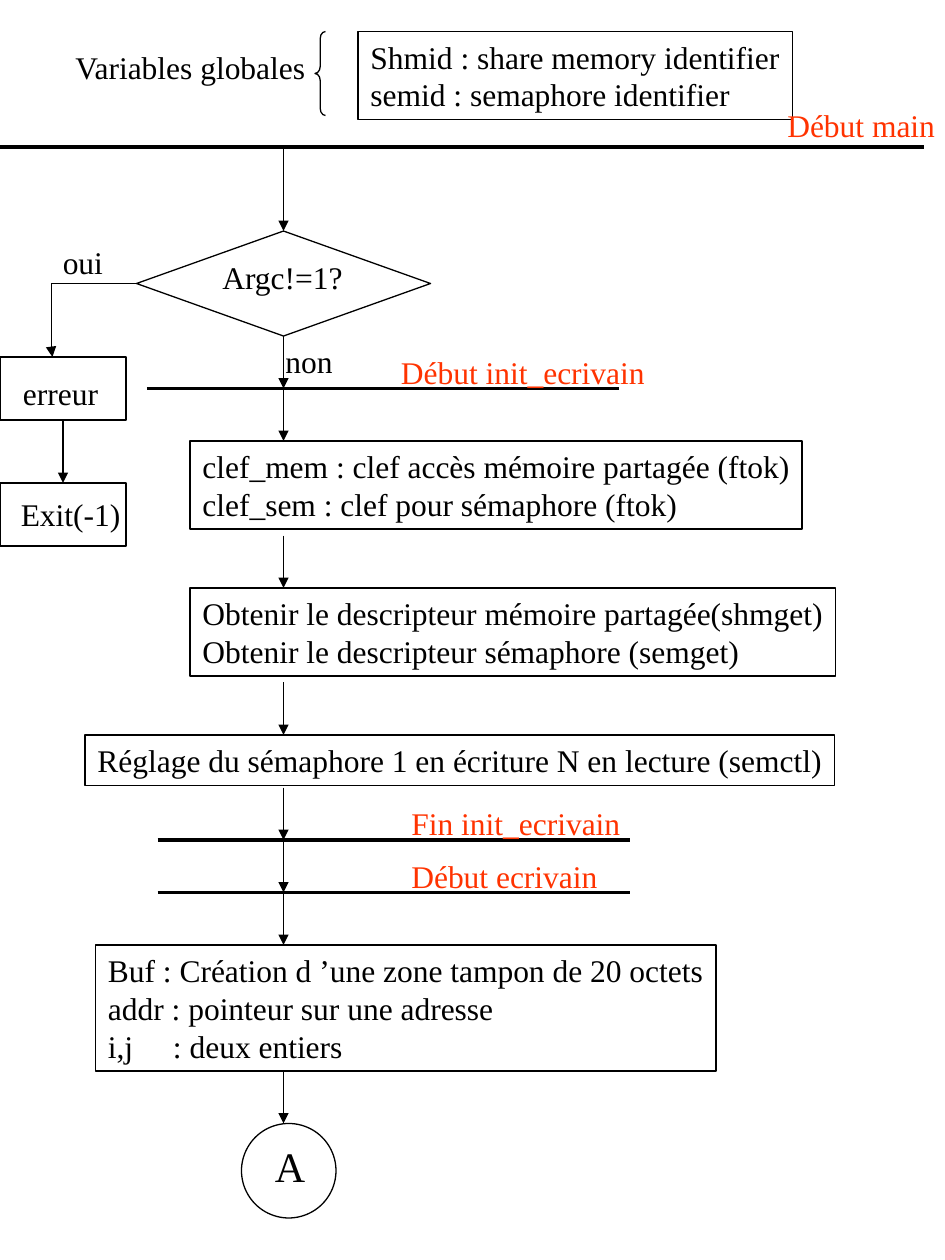
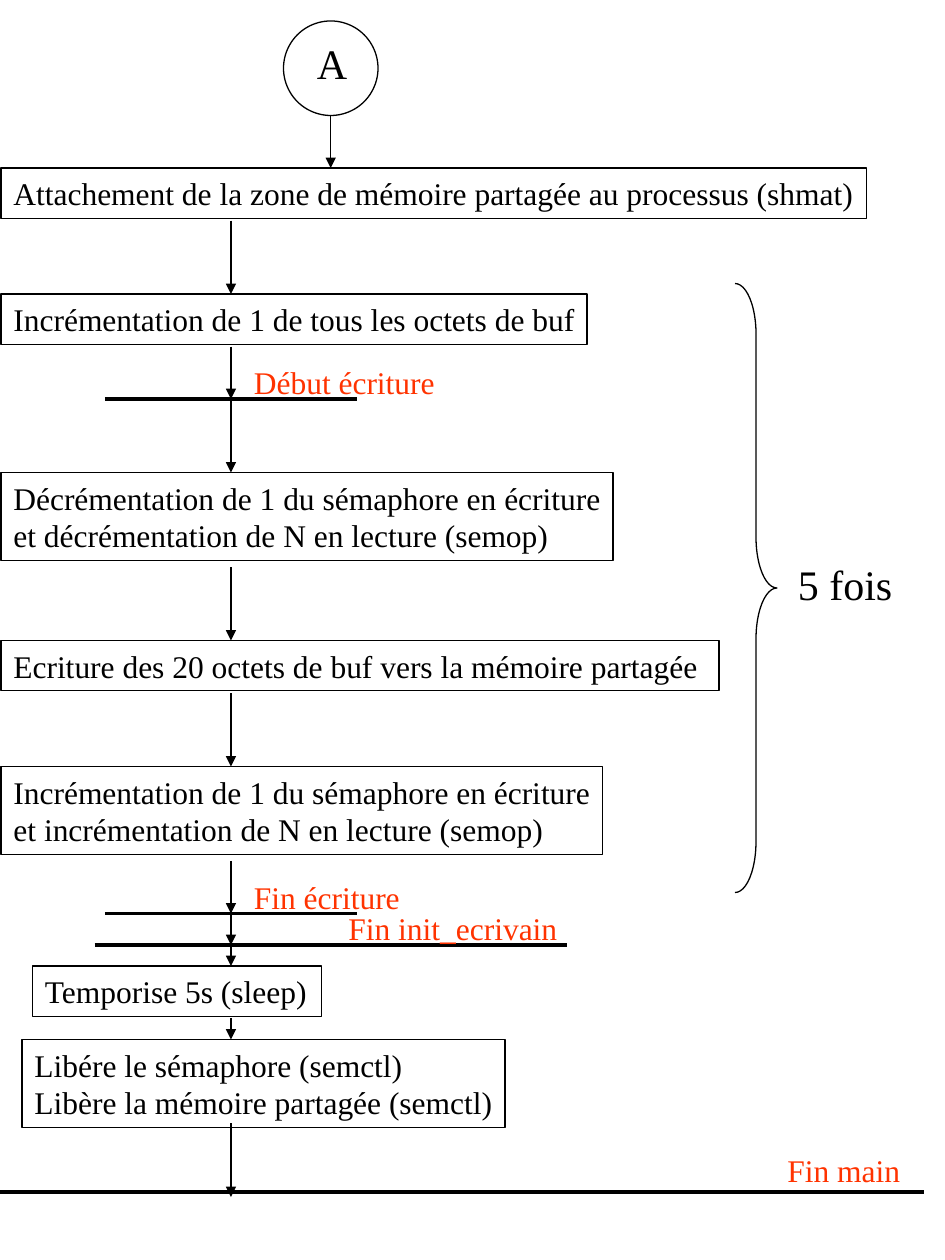
from dataclasses import dataclass

from lxml.etree import SubElement
from pptx import Presentation
from pptx.dml.color import RGBColor
from pptx.enum.shapes import MSO_CONNECTOR as Conn, MSO_SHAPE as Geom
from pptx.enum.text import MSO_ANCHOR as Anchor, PP_ALIGN as Align
from pptx.oxml.ns import qn
from pptx.util import Emu, Pt

# Shared measures and styles: 120 px to the inch
EMU_PER_PX = 7620
SLIDE_W, SLIDE_H = 900, 1200
BLACK = RGBColor(0x00, 0x00, 0x00)
RED = RGBColor(0xFF, 0x33, 0x00)
FONT = "Times New Roman"
THIN, THICK = Pt(0.75), Pt(2.25)
TEXT_SIZE, BIG_SIZE = 18, 24
LABEL_H, BIG_LABEL_H = 48, 60
ROW_H = 36
CIRCLE = 90
COLON_TAB = 62


def px(n: int) -> Emu:
    return Emu(n * EMU_PER_PX)


# The right margin is left free so that the tight boxes never wrap
FRAME_FORMAT = {
    "word_wrap": True,
    "vertical_anchor": Anchor.TOP,
    "margin_left": px(12),
    "margin_top": px(6),
    "margin_right": px(0),
    "margin_bottom": px(6),
}


@dataclass(frozen=True)
class Label:
    x: int
    y: int
    w: int
    text: str
    size: int = TEXT_SIZE
    color: RGBColor = BLACK


@dataclass(frozen=True)
class Box:
    x: int
    y: int
    w: int
    lines: tuple[str, ...]


@dataclass(frozen=True)
class Outline:
    geom: Geom
    x: int
    y: int
    w: int
    h: int
    adjustment: float | None = None


@dataclass(frozen=True)
class Milestone:
    """A thick bar with its red caption."""
    x1: int
    x2: int
    y: int
    label_x: int
    label_w: int
    text: str
    rise: int = 40


@dataclass(frozen=True)
class Arrow:
    x: int
    y1: int
    y2: int


@dataclass(frozen=True)
class Flow:
    outlines: tuple[Outline, ...]
    boxes: tuple[Box, ...]
    milestones: tuple[Milestone, ...]
    labels: tuple[Label, ...]
    arrows: tuple[Arrow, ...]


def chain(x: int, *spans: tuple[int, int]) -> tuple[Arrow, ...]:
    return tuple(Arrow(x, y1, y2) for y1, y2 in spans)


# Text
def write(sp, lines, size=TEXT_SIZE, color=BLACK) -> None:
    tf = sp.text_frame
    for name, value in FRAME_FORMAT.items():
        setattr(tf, name, value)
    for i, line in enumerate(lines):
        p = tf.paragraphs[0] if i == 0 else tf.add_paragraph()
        p.alignment = Align.LEFT
        if "\t" in line:
            tabs = SubElement(p._p.get_or_add_pPr(), qn("a:tabLst"))
            SubElement(tabs, qn("a:tab"), pos=str(px(COLON_TAB)), algn="l")
        r = p.add_run()
        r.text = line
        for name, value in {"name": FONT, "size": Pt(size)}.items():
            setattr(r.font, name, value)
        r.font.color.rgb = color


def add_label(s, label: Label) -> None:
    h = LABEL_H if label.size == TEXT_SIZE else BIG_LABEL_H
    sp = s.shapes.add_textbox(px(label.x), px(label.y), px(label.w), px(h))
    write(sp, [label.text], label.size, label.color)


# Shapes
def add_outline(s, o: Outline):
    sp = s.shapes.add_shape(o.geom, px(o.x), px(o.y), px(o.w), px(o.h))
    sp.shadow.inherit = False
    sp.fill.background()
    sp.line.color.rgb = BLACK
    sp.line.width = THIN
    if o.adjustment is not None:
        sp.adjustments[0] = o.adjustment
    return sp


def add_box(s, box: Box) -> None:
    h = 12 + ROW_H * len(box.lines)
    write(add_outline(s, Outline(Geom.RECTANGLE, box.x, box.y, box.w, h)), box.lines)


# Lines and arrows
def add_line(s, start, end, width=THIN, kind=Conn.STRAIGHT, head=False):
    c = s.shapes.add_connector(kind, *map(px, start + end))
    c.line.color.rgb = BLACK
    c.line.width = width
    if head:
        SubElement(c.line._get_or_add_ln(), qn("a:tailEnd"), type="triangle")
    SubElement(c._element.spPr, qn("a:effectLst"))
    return c


def add_milestone(s, m: Milestone) -> None:
    add_line(s, (m.x1, m.y), (m.x2, m.y), THICK)
    add_label(s, Label(m.label_x, m.y - m.rise, m.label_w, m.text, color=RED))


def add_arrow(s, a: Arrow, joints: dict) -> None:
    c = add_line(s, (a.x, a.y1), (a.x, a.y2), head=True)
    for y, connect in ((a.y1, c.begin_connect), (a.y2, c.end_connect)):
        if (a.x, y) in joints:
            connect(*joints[a.x, y])


def add_error_branch(s) -> None:
    c = add_line(s, (130, 270), (50, 340), kind=Conn.ELBOW, head=True)
    guides = c._element.spPr.find(qn("a:prstGeom")).get_or_add_avLst()
    SubElement(guides, qn("a:gd"), name="adj1", fmla="val 101500")


def draw_flow(prs, flow: Flow):
    s = prs.slides.add_slide(prs.slide_layouts[6])
    joints = {}
    for o in flow.outlines:
        sp = add_outline(s, o)
        if o.geom in (Geom.RECTANGLE, Geom.FLOWCHART_DECISION):
            middle = o.x + o.w // 2
            joints[middle, o.y] = (sp, 0)
            joints[middle, o.y + o.h] = (sp, 2)
    for box in flow.boxes:
        add_box(s, box)
    for m in flow.milestones:
        add_milestone(s, m)
    for label in flow.labels:
        add_label(s, label)
    for a in flow.arrows:
        add_arrow(s, a, joints)
    return s


# Slide 1: checks, initialisation and buffer
SETUP = Flow(
    outlines=(
        Outline(Geom.LEFT_BRACE, 300, 30, 10, 80, 0.67),
        Outline(Geom.FLOWCHART_DECISION, 130, 220, 280, 100),
        Outline(Geom.RECTANGLE, 0, 340, 120, 60),
        Outline(Geom.RECTANGLE, 0, 460, 120, 60),
        Outline(Geom.OVAL, 230, 1070, CIRCLE, CIRCLE),
    ),
    boxes=(
        Box(341, 30, 414, ("Shmid : share memory identifier",
                           "semid : semaphore identifier")),
        Box(181, 420, 583, ("clef_mem : clef accès mémoire partagée (ftok)",
                            "clef_sem : clef pour sémaphore (ftok)")),
        Box(181, 560, 615, ("Obtenir le descripteur mémoire partagée(shmget)",
                            "Obtenir le descripteur sémaphore (semget)")),
        Box(81, 700, 714, ("Réglage du sémaphore 1 en écriture N en lecture (semctl)",)),
        Box(91, 900, 591, ("Buf : Création d ’une zone tampon de 20 octets",
                           "addr : pointeur sur une adresse",
                           "i,j\t: deux entiers")),
    ),
    milestones=(
        Milestone(0, 880, 140, 738, 162, "Début main", rise=45),
        Milestone(140, 590, 370, 370, 256, "Début init_ecrivain"),
        Milestone(150, 600, 800, 380, 223, "Fin init_ecrivain"),
        Milestone(150, 600, 850, 380, 202, "Début ecrivain"),
    ),
    labels=(
        Label(60, 40, 246, "Variables globales"),
        Label(200, 240, 139, "Argc!=1?"),
        Label(48, 226, 62, "oui"),
        Label(260, 320, 68, "non"),
        Label(10, 350, 95, "erreur"),
        Label(8, 466, 119, "Exit(-1)"),
        Label(250, 1080, 53, "A", BIG_SIZE),
    ),
    arrows=chain(270, (140, 220), (320, 370), (370, 420), (510, 560), (650, 700),
                 (750, 800), (800, 850), (850, 900), (1020, 1070))
    + chain(60, (400, 460)),
)

# Slide 2: writing loop and release
WRITING = Flow(
    outlines=(
        Outline(Geom.OVAL, 270, 20, CIRCLE, CIRCLE),
        Outline(Geom.RIGHT_BRACE, 700, 270, 40, 580, 1.21),
    ),
    boxes=(
        Box(1, 160, 824, ("Attachement de la zone de mémoire partagée au processus (shmat)",)),
        Box(1, 280, 558, ("Incrémentation de 1 de tous les octets de buf",)),
        Box(1, 450, 583, ("Décrémentation de 1 du sémaphore en écriture",
                          "et décrémentation de N en lecture (semop)")),
        Box(1, 610, 684, ("Ecriture des 20 octets de buf vers la mémoire partagée",)),
        Box(1, 730, 573, ("Incrémentation de 1 du sémaphore en écriture",
                          "et incrémentation de N en lecture (semop)")),
        Box(31, 920, 275, ("Temporise 5s (sleep)",)),
        Box(21, 990, 460, ("Libére le sémaphore (semctl)",
                           "Libère la mémoire partagée (semctl)")),
    ),
    milestones=(
        Milestone(100, 340, 380, 230, 196, "Début écriture"),
        Milestone(100, 340, 870, 230, 163, "Fin écriture"),
        Milestone(90, 540, 900, 320, 223, "Fin init_ecrivain"),
        Milestone(0, 880, 1135, 738, 131, "Fin main", rise=45),
    ),
    labels=(
        Label(290, 30, 53, "A", BIG_SIZE),
        Label(748, 526, 114, "5 fois", BIG_SIZE),
    ),
    arrows=chain(315, (110, 160))
    + chain(220, (210, 280), (330, 380), (380, 450), (540, 610), (660, 730),
            (820, 870), (870, 900), (900, 920), (970, 990), (1070, 1140)),
)


def main() -> None:
    prs = Presentation()
    prs.slide_width, prs.slide_height = px(SLIDE_W), px(SLIDE_H)
    add_error_branch(draw_flow(prs, SETUP))
    draw_flow(prs, WRITING)
    prs.save("out.pptx")


if __name__ == "__main__":
    main()
